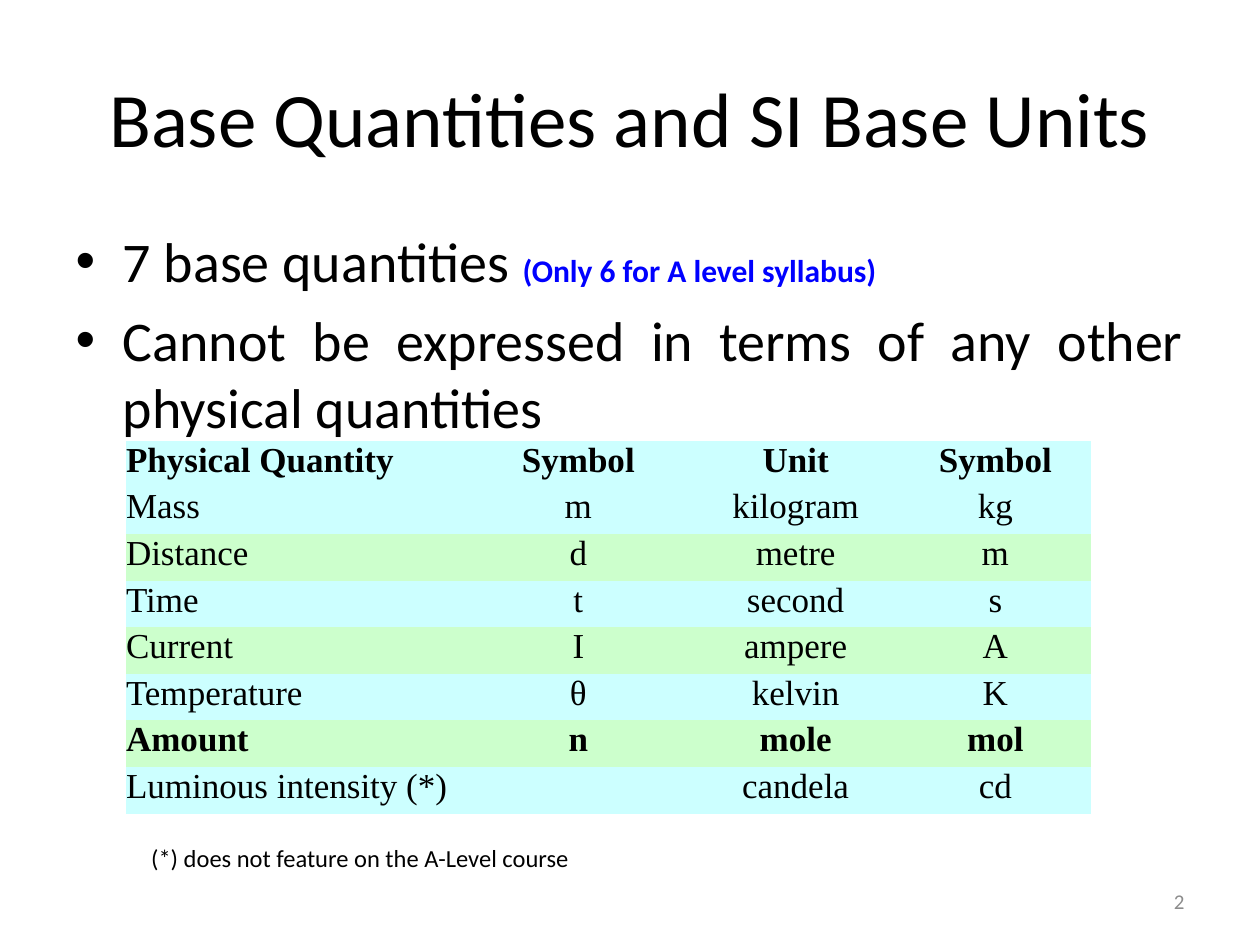
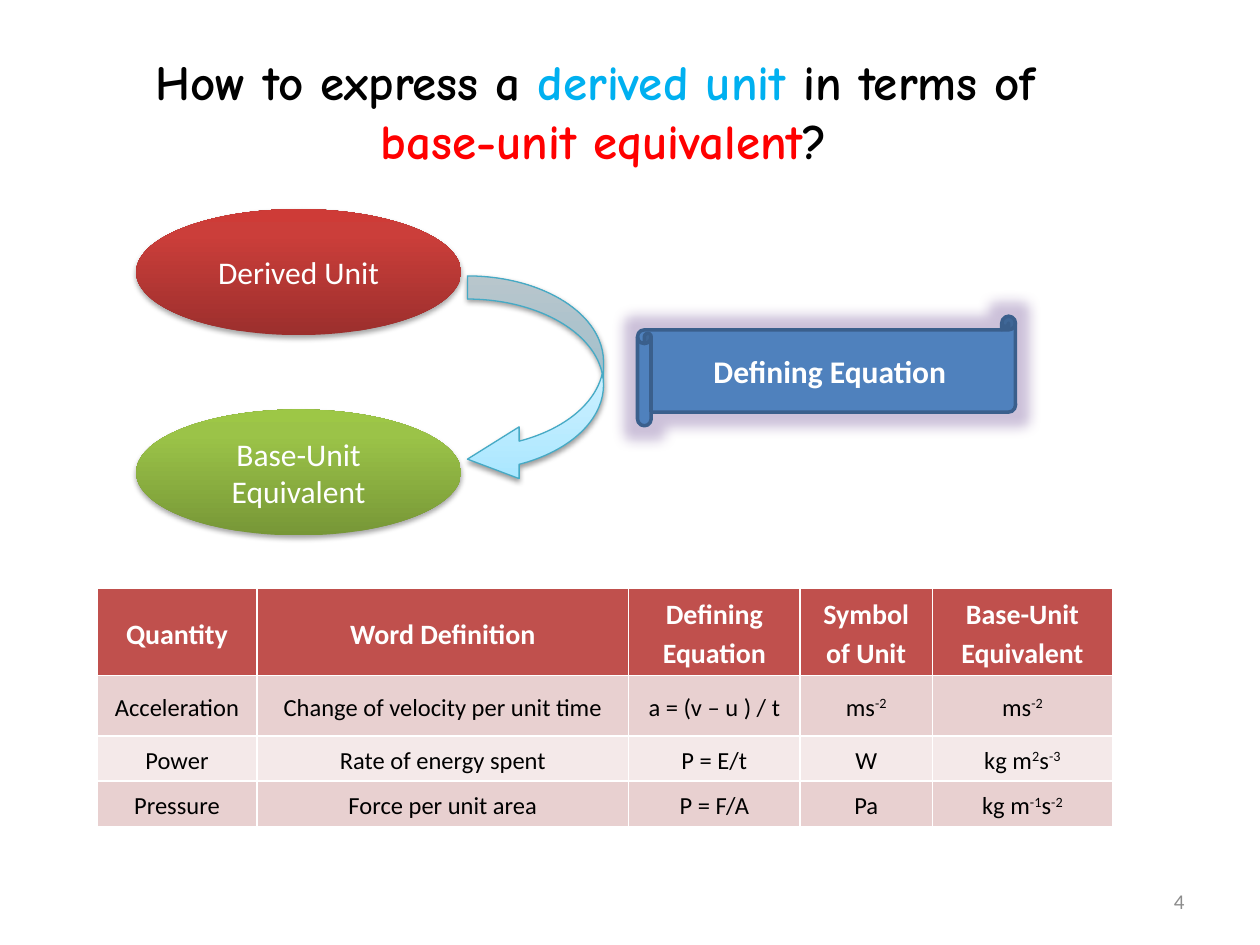
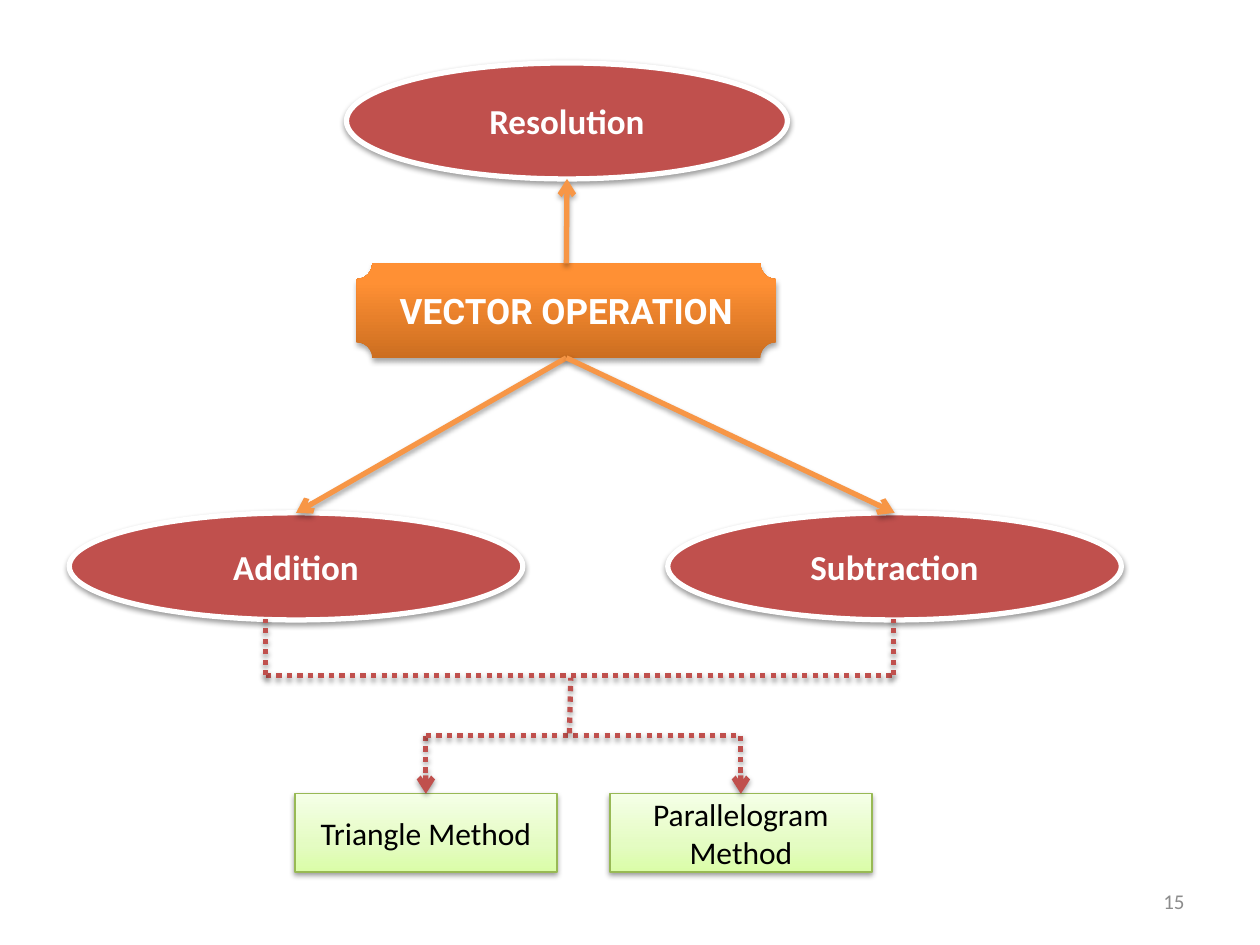
"""Build three physics slides: base quantities, derived units and vector operations."""
from lxml import etree
from pptx import Presentation
from pptx.dml.color import RGBColor
from pptx.enum.dml import MSO_LINE as Dash
from pptx.enum.shapes import MSO_CONNECTOR as Link, MSO_SHAPE as Geo
from pptx.enum.text import MSO_ANCHOR as Anchor, PP_ALIGN as Align
from pptx.oxml.ns import qn
from pptx.util import Inches, Pt

HUES = {
    "ink": "000000", "white": "FFFFFF", "grey": "8C8C8C", "blue": "0000FF",
    "sky": "00B0F0", "red": "FF0000", "brick": "C0504D", "orange": "F79646",
    "steel": "4F81BD", "navy": "3A5F8C", "teal": "46AAC5", "leaf": "98B955",
    "violet": "8064A2", "aqua": "CCFFFF", "mint": "CCFFCC",
    "rose": "E8D0D0", "blush": "F4E9E9",
}
FADES = {
    "red": [(0, "9C2F2D"), (80, "CB3E3A"), (100, "CE3B37")],
    "green": [(0, "779737"), (80, "9BC348"), (100, "9DC746")],
    "ice": [(0, "A7E6FF"), (35, "C1EDFF"), (100, "E7F8FF")],
    "amber": [(0, "CC6E20"), (80, "FF9034"), (100, "FF9136")],
    "lime": [(0, "DAFDA7"), (35, "E4FCC2"), (100, "F5FFE7")],
}
DEEP, SOFT = (35, 1.8), (38, 1.6)
PLAIN = "{2D5ABB26-0587-4C30-8999-92F81FD0307C}"
RULED = "{21E4AEA4-8DFA-4A89-87EB-49C32662AFE0}"

POINTS = [
    ["7 base quantities ",
     ("(Only 6 for A level syllabus)", {"size": 18, "hue": "blue", "bold": True})],
    "Cannot be expressed in terms of any other physical quantities",
]
BASE = [
    ("Physical Quantity", "Symbol", "Unit", "Symbol"),
    ("Mass", "m", "kilogram", "kg"),
    ("Distance", "d", "metre", "m"),
    ("Time", "t", "second", "s"),
    ("Current", "I", "ampere", "A"),
    ("Temperature", "θ", "kelvin", "K"),
    ("Amount", "n", "mole", "mol"),
    ("Luminous intensity (*)", "", "candela", "cd"),
]
HOW = ["How to express a ", ("derived unit ", {"hue": "sky"}), "in terms of \n",
       ("base-unit equivalent", {"hue": "red"}), "?"]
UNITS = [
    ("Quantity", "Word Definition", "Defining Equation", "Symbol of Unit",
     "Base-Unit Equivalent"),
    ("Acceleration", "Change of velocity per unit time", "a = (v – u ) / t",
     "ms|-2", "ms|-2"),
    ("Power", "Rate of energy spent", "P = E/t", "W", "kg m|2|s|-3"),
    ("Pressure", "Force per unit area", "P = F/A", "Pa", "kg m|-1|s|-2"),
]
OVALS = [("Derived Unit", "red", 1.66), ("Base-Unit Equivalent", "green", 3.25)]
OPS = {"Resolution": (2.75, 0.5, 3.5, 0.92),
       "Addition": (0.55, 4.07, 3.6, 0.85),
       "Subtraction": (5.3, 4.07, 3.6, 0.85)}
WAYS = [("Triangle Method", 2.34), ("Parallelogram Method", 4.84)]


def tint(name):
    return RGBColor.from_string(HUES[name])


def box(*nums):
    return [Inches(n) for n in nums]


def sup(text):
    """Raise every second part of a text split by bars."""
    return [(part, {"up": i % 2 == 1}) for i, part in enumerate(text.split("|"))]


def write(frame, paras, align=Align.CENTER, anchor=Anchor.MIDDLE, gap=None, **base):
    """Fill a text frame with paragraphs of plain or formatted runs."""
    frame.word_wrap = True
    frame.vertical_anchor = anchor
    for i, runs in enumerate(paras):
        para = frame.add_paragraph() if i else frame.paragraphs[0]
        para.alignment = align[i] if isinstance(align, list) else align
        if gap:
            para.line_spacing = gap
        for item in [runs] if isinstance(runs, str) else runs:
            text, own = (item, {}) if isinstance(item, str) else item
            look = {"size": 18, "hue": "ink", "bold": False, "face": "Calibri",
                    "up": False, **base, **own}
            run = para.add_run()
            run.text = text.rstrip("\n")
            font = run.font
            font.size, font.bold, font.name = Pt(look["size"]), look["bold"], look["face"]
            font.color.rgb = tint(look["hue"])
            if look["up"]:
                run.font._element.set("baseline", "30000")
            if text.endswith("\n"):
                para.add_line_break()


def effect(item, kind="", hue="000000", alpha=0, **attrs):
    """Give a shape or connector one effect, or none."""
    group = etree.SubElement(item._element.spPr, qn("a:effectLst"))
    if kind:
        node = etree.SubElement(group, qn(kind), {k: str(v) for k, v in attrs.items()})
        color = etree.SubElement(node, qn("a:srgbClr"), val=hue)
        etree.SubElement(color, qn("a:alpha"), val=str(alpha * 1000))


def shade(item, cast):
    alpha, dist = cast
    effect(item, "a:outerShdw", alpha=alpha, blurRad=Pt(3.1), dist=Pt(dist),
           dir=5400000, rotWithShape=0)


def shape(slide, geo, at, text="", fill=None, fade=None, line=None, cast=None, **look):
    item = slide.shapes.add_shape(geo, *box(*at))
    if fade:
        item.fill.gradient()
        item.fill.gradient_angle = 90
        stops = item._element.spPr.find(".//" + qn("a:gsLst"))
        for old in list(stops):
            stops.remove(old)
        for pos, value in FADES[fade]:
            stop = etree.SubElement(stops, qn("a:gs"), pos=str(pos * 1000))
            etree.SubElement(stop, qn("a:srgbClr"), val=value)
    else:
        item.fill.solid()
        item.fill.fore_color.rgb = tint(fill)
    if line:
        item.line.color.rgb, item.line.width = tint(line[0]), Pt(line[1])
    else:
        item.line.fill.background()
    if cast:
        shade(item, cast)
    if text:
        write(item.text_frame, [text], **{"hue": "white", **look})
    return item


def link(slide, start, end, hue, cast, dots=False, head=False, tie=None, aim=None):
    """Draw a straight line, tied at its start and aimed at a shape's top."""
    item = slide.shapes.add_connector(Link.STRAIGHT, *box(*start, *end))
    item.line.color.rgb, item.line.width = tint(hue), Pt(3)
    if dots:
        item.line.dash_style = Dash.ROUND_DOT
    if head:
        etree.SubElement(item.line._get_or_add_ln(), qn("a:tailEnd"), type="arrow")
    if tie:
        item.begin_connect(*tie)
    if aim:
        item.end_connect(aim, 0)
    shade(item, cast)


def table(slide, at, rows, cols, highs, style, look):
    """Add a table; look gives the fill, margin and text format of a cell."""
    frame = slide.shapes.add_table(len(rows), len(cols), *box(*at, sum(cols), sum(highs)))
    grid = frame.table
    grid._tbl.tblPr.find(qn("a:tableStyleId")).text = style
    for col, wide in zip(grid.columns, cols):
        col.width = Inches(wide)
    for r, (row, high) in enumerate(zip(rows, highs)):
        grid.rows[r].height = Inches(high)
        for c, text in enumerate(row):
            cell = grid.cell(r, c)
            fill, side, form = look(r, c)
            cell.fill.solid()
            cell.fill.fore_color.rgb = tint(fill)
            cell.margin_left = cell.margin_right = Inches(side)
            cell.margin_top = cell.margin_bottom = 0
            cell.vertical_anchor = form["anchor"]
            if text:
                write(cell.text_frame, [sup(text)], **form)


def note(slide, at, text, **look):
    write(slide.shapes.add_textbox(*box(*at)).text_frame, [text], **look)


def start(deck, layout, number, title=None, at=None, **look):
    """Add a slide with its title and page number."""
    slide = deck.slides.add_slide(deck.slide_layouts[layout])
    if title:
        head = slide.shapes.title
        head.left, head.top, head.width, head.height = box(*at)
        write(head.text_frame, [title], **look)
    note(slide, (7.17, 6.95, 2.33, 0.4), number, align=Align.RIGHT, size=12, hue="grey")
    return slide


def base_look(r, c):
    fill = "mint" if r and r % 2 == 0 else "aqua"
    return fill, 0, {"align": Align.CENTER if c else Align.JUSTIFY, "anchor": Anchor.TOP,
                     "size": 20, "face": "Times New Roman", "bold": r in (0, 6)}


def unit_look(r, c):
    form = {"anchor": Anchor.MIDDLE, "gap": 1.15, "size": 14}
    if r == 0:
        return "brick", 0.07, {**form, "size": 16, "hue": "white", "bold": True}
    return ("rose" if r % 2 else "blush"), 0.07, form


def base_units(deck):
    slide = start(deck, 1, "2", "Base Quantities and SI Base Units",
                  (0.5, 0.3, 9, 1.25), size=44)
    body = slide.placeholders[1]
    body.left, body.top, body.width, body.height = box(0.5, 1.75, 9, 4.95)
    write(body.text_frame, POINTS, align=[Align.LEFT, Align.JUSTIFY],
          anchor=Anchor.TOP, size=32)
    table(slide, (1, 3.5), BASE, (2.69, 1.8, 1.65, 1.52), [0.37] * len(BASE),
          PLAIN, base_look)
    note(slide, (0.92, 6.64, 3.92, 0.34), "(*) does not feature on the A-Level course ",
         size=14, anchor=Anchor.TOP)


def derived(deck):
    slide = start(deck, 5, "4", HOW, (0.71, 0.25, 8.17, 1.25), size=28,
                  face="Comic Neue", bold=True)
    for text, fade, top in OVALS:
        shape(slide, Geo.OVAL, (1.08, top, 2.58, 1), text, fade=fade, cast=DEEP)
    bend = shape(slide, Geo.CURVED_LEFT_ARROW, (3.71, 2.19, 1.08, 1.66), fade="ice",
                 line=("teal", 0.75), cast=SOFT)
    for i, ratio in enumerate((0.17, 0.38, 0.38)):
        bend.adjustments[i] = ratio
    scroll = shape(slide, Geo.HORIZONTAL_SCROLL, (5.06, 2.51, 3, 0.87),
                   "Defining Equation", fill="steel", line=("navy", 2), bold=True)
    effect(scroll, "a:glow", HUES["violet"], 40, rad=Pt(14))
    table(slide, (0.77, 4.67), UNITS, (1.27, 2.95, 1.36, 1.05, 1.43),
          (0.69, 0.48, 0.36, 0.36), RULED, unit_look)


def vectors(deck):
    slide = start(deck, 6, "15")
    hub = shape(slide, Geo.PLAQUE, (2.83, 2.09, 3.33, 0.75), "VECTOR OPERATION",
                fade="amber", cast=DEEP, size=20, face="Roboto", bold=True)
    ops = {name: shape(slide, Geo.OVAL, at, name, fill="brick", line=("white", 3),
                       cast=SOFT, size=20, bold=True) for name, at in OPS.items()}
    ways = [shape(slide, Geo.RECTANGLE, (left, 6.3, 2.08, 0.62), text, fade="lime",
                  line=("leaf", 0.75), cast=SOFT, hue="ink") for text, left in WAYS]

    warm = {"hue": "orange", "cast": DEEP, "head": True}
    link(slide, (4.5, 2.09), (4.5, 1.42), tie=(hub, 0), **warm)
    for name, mid in (("Addition", 2.35), ("Subtraction", 7.1)):
        link(slide, (4.5, 2.84), (mid, 4.07), tie=(hub, 2), aim=ops[name], **warm)

    dots = {"hue": "brick", "cast": SOFT, "dots": True}
    upper, lower, ends = 5.36, 5.84, (2.11, 7.09)
    mids = [left + 1.04 for _, left in WAYS]
    for mid, way in zip(mids, ways):
        link(slide, (mid, lower), (mid, 6.3), head=True, aim=way, **dots)
    link(slide, (mids[0], lower), (mids[1], lower), **dots)
    link(slide, (ends[0], upper), (ends[1], upper), **dots)
    for end in ends:
        link(slide, (end, upper), (end, 4.91), **dots)
    link(slide, (4.52, 5.82), (4.53, 5.38), **dots)


def main():
    deck = Presentation()
    deck.slide_width, deck.slide_height = box(10, 7.5)
    base_units(deck)
    derived(deck)
    vectors(deck)
    deck.save("out.pptx")


if __name__ == "__main__":
    main()
